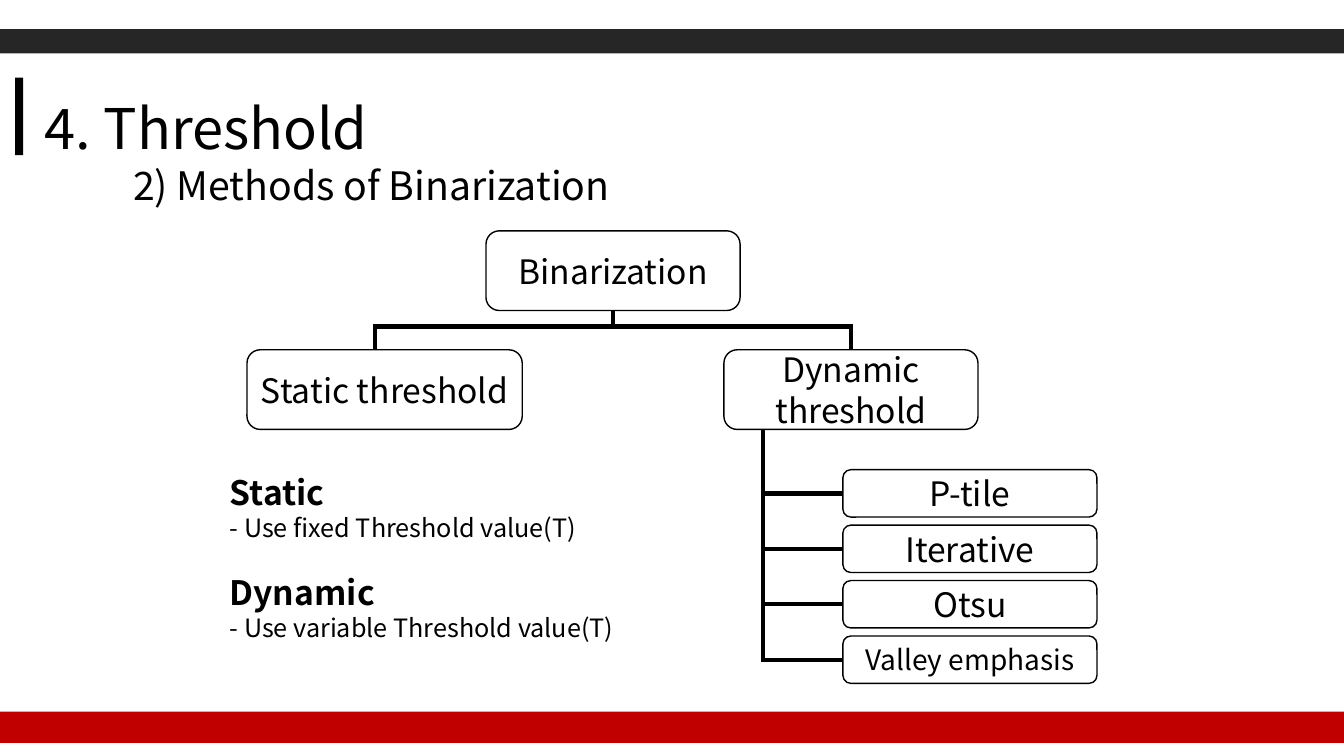
from dataclasses import dataclass

import pptx
import pptx.dml.color
import pptx.enum.shapes
import pptx.enum.text
import pptx.oxml.ns
import pptx.util
from lxml import etree

Inches = pptx.util.Inches
Pt = pptx.util.Pt
RGBColor = pptx.dml.color.RGBColor
Shapes = pptx.enum.shapes.MSO_SHAPE
Anchor = pptx.enum.text.MSO_ANCHOR
Align = pptx.enum.text.PP_ALIGN

FONT = "Noto Sans CJK KR"
BLACK = RGBColor(0x00, 0x00, 0x00)
WHITE = RGBColor(0xFF, 0xFF, 0xFF)
CHARCOAL = RGBColor(0x26, 0x26, 0x26)
RED = RGBColor(0xC0, 0x00, 0x00)


@dataclass
class Bar:
    left: float
    top: float
    width: float
    height: float
    color: RGBColor


@dataclass
class Node:
    lines: list[str]
    left: float
    top: float
    width: float = 2.52
    height: float = 0.79
    size: int = 24

    @property
    def center(self) -> float:
        return self.left + self.width / 2

    @property
    def middle(self) -> float:
        return self.top + self.height / 2

    @property
    def bottom(self) -> float:
        return self.top + self.height


def write(frame, index: int, text: str, *, size: int, bold: bool = False,
          align=Align.LEFT, before: float = 0, indent: float = 0) -> None:
    """Write one paragraph, reusing the frame's first one."""
    para = frame.paragraphs[0] if index == 0 else frame.add_paragraph()
    para.alignment = align
    para.line_spacing = 1.0
    para.space_before = Pt(before)
    if indent:
        para._p.get_or_add_pPr().set("marL", str(Inches(indent)))
    span = para.add_run()
    span.text = text
    span.font.name = FONT
    span.font.size = Pt(size)
    span.font.bold = bold
    span.font.color.rgb = BLACK


def draw_bar(page, bar: Bar) -> None:
    shape = page.shapes.add_shape(
        Shapes.RECTANGLE, Inches(bar.left), Inches(bar.top),
        Inches(bar.width), Inches(bar.height))
    shape.shadow.inherit = False
    shape.fill.solid()
    shape.fill.fore_color.rgb = bar.color
    shape.line.fill.background()


def draw_node(page, node: Node) -> None:
    box = page.shapes.add_shape(
        Shapes.ROUNDED_RECTANGLE, Inches(node.left), Inches(node.top),
        Inches(node.width), Inches(node.height))
    box.shadow.inherit = False
    box.fill.solid()
    box.fill.fore_color.rgb = WHITE
    box.line.color.rgb = BLACK
    box.line.width = Pt(1)
    frame = box.text_frame
    frame.word_wrap = True
    frame.vertical_anchor = Anchor.MIDDLE
    for index, text in enumerate(node.lines):
        write(frame, index, text, size=node.size, align=Align.CENTER)


def draw_line(page, x1: float, y1: float, x2: float, y2: float) -> None:
    line = page.shapes.add_connector(
        pptx.enum.shapes.MSO_CONNECTOR.STRAIGHT,
        Inches(x1), Inches(y1), Inches(x2), Inches(y2))
    line.line.color.rgb = BLACK
    line.line.width = Pt(3)
    # Square ends close the corners of the tree
    line.line._get_or_add_ln().set("cap", "sq")
    etree.SubElement(line._element.spPr, pptx.oxml.ns.qn("a:effectLst"))


def draw_title(page) -> None:
    title = page.shapes.title
    title.left, title.top = Inches(0.22), Inches(0.88)
    title.width, title.height = Inches(12.15), Inches(1.25)
    frame = title.text_frame
    frame.word_wrap = True
    frame.auto_size = pptx.enum.text.MSO_AUTO_SIZE.NONE
    frame.vertical_anchor = Anchor.TOP
    frame.margin_left = Inches(0.22)
    write(frame, 0, "4. Threshold", size=40)
    write(frame, 1, "2) Methods of Binarization", size=28, indent=0.88)


def draw_tree(page) -> None:
    root = Node(["Binarization"], 4.82, 2.29)
    static = Node(["Static threshold"], 2.45, 3.47, width=2.73)
    dynamic = Node(["Dynamic", "threshold"], 7.18, 3.47)
    methods = [Node([name], 8.36, 4.66 + 0.55 * row, height=0.47, size=size)
               for row, (name, size) in enumerate([
                   ("P-tile", 24), ("Iterative", 24), ("Otsu", 24),
                   ("Valley emphasis", 20)])]

    # Lines from the root to its two branches, evenly spread around it
    bus = 3.24
    reach = dynamic.center - root.center
    drops = (root.center - reach, root.center + reach)
    draw_line(page, drops[0], bus, drops[1], bus)
    draw_line(page, root.center, root.bottom, root.center, bus)
    for drop in drops:
        draw_line(page, drop, bus, drop, static.top)

    # Lines from the dynamic branch to its methods
    trunk = 7.57
    draw_line(page, trunk, dynamic.bottom, trunk, methods[-1].middle)
    for method in methods:
        draw_line(page, trunk, method.middle, method.left, method.middle)

    for node in (root, static, dynamic, *methods):
        draw_node(page, node)


def draw_notes(page) -> None:
    box = page.shapes.add_textbox(
        Inches(2.18), Inches(4.63), Inches(5.59), Inches(2.1))
    frame = box.text_frame
    frame.word_wrap = True
    write(frame, 0, "Static", size=24, bold=True)
    write(frame, 1, "- Use fixed Threshold value(T)", size=18)
    write(frame, 2, "Dynamic", size=24, bold=True, before=21)
    write(frame, 3, "- Use variable Threshold value(T)", size=18)


def main() -> None:
    deck = pptx.Presentation()
    deck.slide_width, deck.slide_height = Inches(13.33), Inches(7.5)
    page = deck.slides.add_slide(deck.slide_layouts.get_by_name("Title Only"))

    # Top and bottom bands, and the mark beside the title
    for bar in (Bar(0, 0.29, 13.33, 0.24, CHARCOAL),
                Bar(0, 7.06, 13.33, 0.31, RED),
                Bar(0.15, 0.77, 0.08, 0.77, BLACK)):
        draw_bar(page, bar)

    draw_title(page)
    draw_tree(page)
    draw_notes(page)
    deck.save("out.pptx")


if __name__ == "__main__":
    main()
